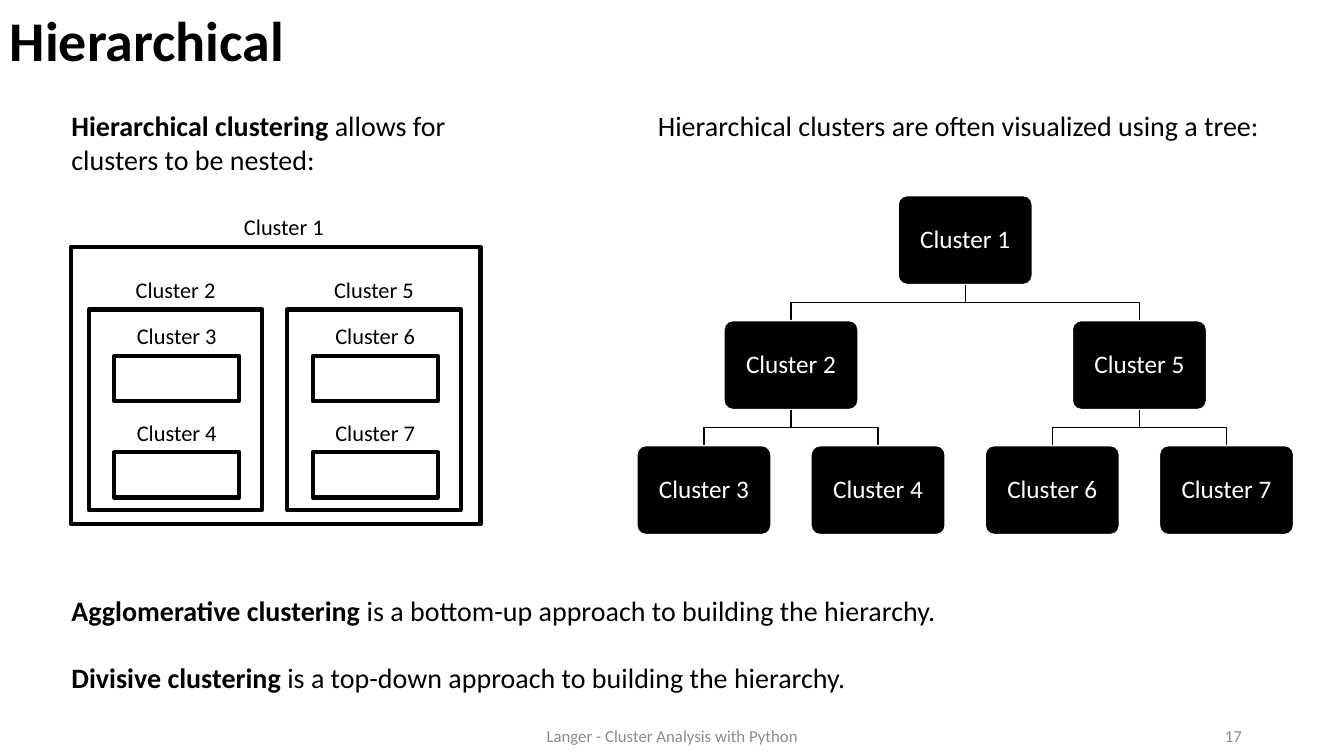
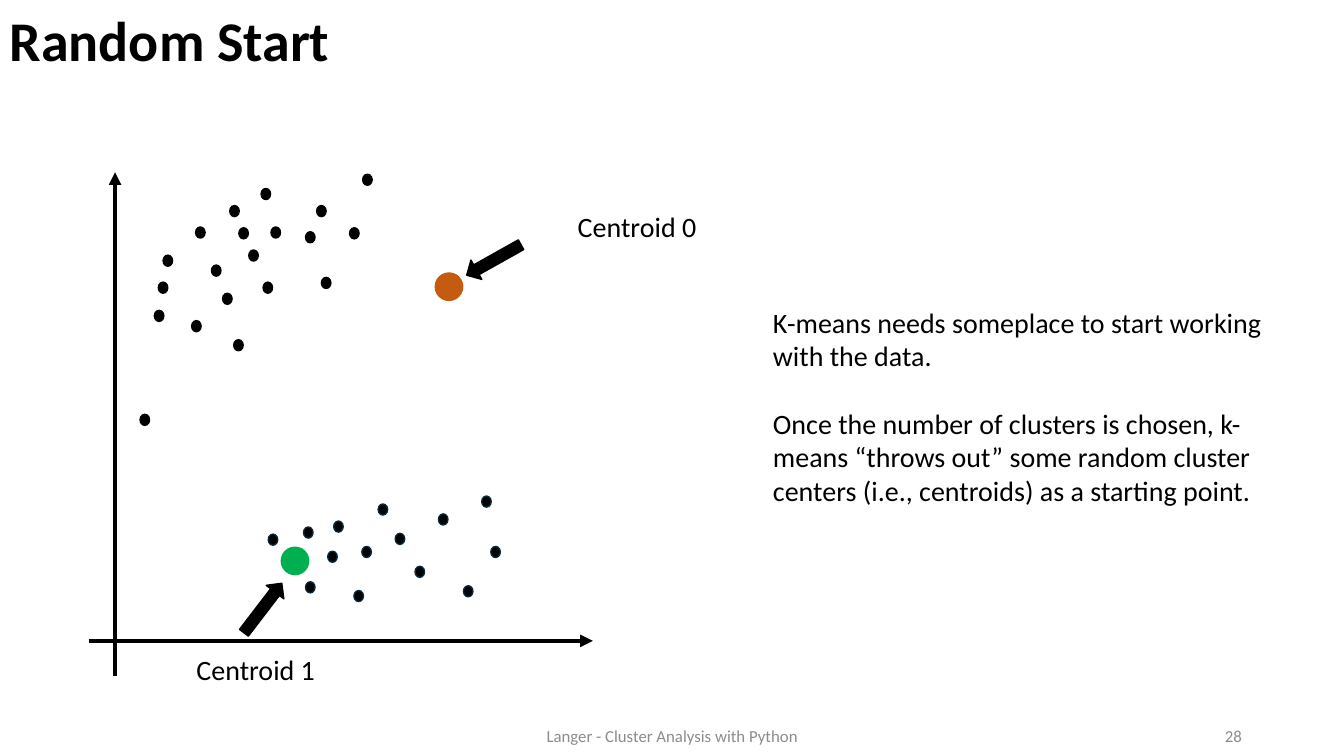
"""Build two cluster analysis slides: nested clusters and the k-means random start."""
from dataclasses import dataclass

from lxml.etree import SubElement
from pptx import Presentation
from pptx.dml.color import RGBColor
from pptx.enum.shapes import MSO_CONNECTOR, MSO_SHAPE
from pptx.enum.text import MSO_ANCHOR, PP_ALIGN
from pptx.oxml.ns import qn
from pptx.shapes.autoshape import Shape
from pptx.slide import Slide
from pptx.text.text import TextFrame
from pptx.util import Cm, Pt

COLORS = {
    "ink": "000000",
    "paper": "FFFFFF",
    "footer": "8C8C8C",
    "point_edge": "06283B",
    "orange": "C55A11",
    "green": "00B050",
}


@dataclass(frozen=True)
class TextStyle:
    size: int
    color: str = "ink"
    align: PP_ALIGN = PP_ALIGN.LEFT
    anchor: MSO_ANCHOR = MSO_ANCHOR.TOP
    bold: bool = False
    line_spacing: float = 1.0


MIDDLE = MSO_ANCHOR.MIDDLE
TITLE = TextStyle(40, anchor=MIDDLE, bold=True, line_spacing=0.9)
BODY = TextStyle(20)
CENTROID_LABEL = TextStyle(20, align=PP_ALIGN.CENTER)
NEST_LABEL = TextStyle(16, align=PP_ALIGN.CENTER)
NODE_LABEL = TextStyle(18, "paper", PP_ALIGN.CENTER, MIDDLE, line_spacing=0.9)
FOOTER = TextStyle(12, "footer", PP_ALIGN.CENTER, MIDDLE)
PAGE_NUMBER = TextStyle(12, "footer", PP_ALIGN.RIGHT, MIDDLE)
PARAGRAPH_GAP = Pt(24)


@dataclass(frozen=True)
class Box:
    left: float
    top: float
    width: float
    height: float

    def lengths(self) -> tuple[Cm, Cm, Cm, Cm]:
        return Cm(self.left), Cm(self.top), Cm(self.width), Cm(self.height)


@dataclass(frozen=True)
class Passage:
    text: str
    lead: str = ""


@dataclass(frozen=True)
class NestedCluster:
    number: int
    box: Box
    label_shift: float = 0


@dataclass(frozen=True)
class TreeNode:
    number: int
    column: float
    level: int
    parent: int = 0


@dataclass(frozen=True)
class Centroid:
    name: str
    label: Box
    marker: Box
    color: str
    arrow: Box
    rotation: float


GROUP_LEFTS = (2.24, 7.24)
LEAF_TOPS = (8.97, 11.4)
NEST = [NestedCluster(1, Box(1.8, 6.22, 10.31, 6.99), 0.2)]
for group, group_left in enumerate(GROUP_LEFTS):
    first = 2 + 3 * group
    NEST.append(NestedCluster(first, Box(group_left, 7.8, 4.37, 5.05)))
    NEST += [
        NestedCluster(first + 1 + row, Box(group_left + 0.64, leaf_top, 3.15, 1.14))
        for row, leaf_top in enumerate(LEAF_TOPS)
    ]

TREE = (
    TreeNode(1, 1.5, 0),
    TreeNode(2, 0.5, 1, 1),
    TreeNode(3, 0, 2, 2),
    TreeNode(4, 1, 2, 2),
    TreeNode(5, 2.5, 1, 1),
    TreeNode(6, 2, 2, 5),
    TreeNode(7, 3, 2, 5),
)

UPPER_POINTS = (
    (6.83, 5.72), (5.61, 7.39), (7.7, 5.84), (9.14, 4.39), (6.63, 7.11),
    (4.83, 8.08), (4.11, 6.43), (6.27, 6.3), (7.98, 5.18), (4.93, 5.72),
    (6.58, 4.75), (6.02, 5.74), (5.79, 5.18), (3.89, 7.82), (5.89, 8.56),
    (3.53, 10.44), (8.81, 5.74), (3.99, 7.11), (5.33, 6.68), (8.1, 6.99),
)
LOWER_POINTS = (
    (8.26, 13.89), (6.76, 13.46), (7.65, 13.28), (11.05, 12.95), (9.96, 13.44),
    (8.41, 13.13), (7.7, 14.66), (9.53, 12.7), (9.12, 13.77), (8.92, 14.88),
    (12.14, 12.5), (11.68, 14.76), (10.46, 14.27), (12.37, 13.77),
)
AXES = ((2.9, 17.04, 2.9, 4.34), (2.24, 16.15, 14.94, 16.15))
CENTROIDS = (
    Centroid("Centroid 0", Box(12.45, 5.16, 7.21, 1.12), Box(10.97, 6.88, 0.69, 0.69),
             "orange", Box(11.66, 6.27, 1.57, 0.56), 150.7),
    Centroid("Centroid 1", Box(2.84, 16.33, 7.21, 1.12), Box(7.09, 13.79, 0.69, 0.69),
             "green", Box(5.84, 15.04, 1.57, 0.56), 307.4),
)


def rgb(color: str) -> RGBColor:
    return RGBColor.from_string(COLORS[color])


def write(frame: TextFrame, passages: tuple[Passage, ...], style: TextStyle) -> None:
    frame.word_wrap = True
    frame.vertical_anchor = style.anchor
    for index, passage in enumerate(passages):
        paragraph = frame.paragraphs[0] if index == 0 else frame.add_paragraph()
        formats = {"alignment": style.align, "line_spacing": style.line_spacing}
        if index:
            formats["space_before"] = PARAGRAPH_GAP
        for key, value in formats.items():
            setattr(paragraph, key, value)
        for words, bold in ((passage.lead, True), (passage.text, style.bold)):
            if words:
                run = paragraph.add_run()
                run.text = words
                font_formats = {"name": "Calibri", "size": Pt(style.size), "bold": bold}
                for key, value in font_formats.items():
                    setattr(run.font, key, value)
                run.font.color.rgb = rgb(style.color)


def add_text(slide: Slide, box: Box, style: TextStyle, *passages: Passage) -> None:
    write(slide.shapes.add_textbox(*box.lengths()).text_frame, passages, style)


def paint(shape: Shape, fill: str | None, line: str, width: float = 1) -> None:
    shape.shadow.inherit = False
    if fill:
        shape.fill.solid()
        shape.fill.fore_color.rgb = rgb(fill)
    else:
        shape.fill.background()
    shape.line.color.rgb = rgb(line)
    shape.line.width = Pt(width)


def add_shape(slide: Slide, kind: MSO_SHAPE, box: Box, fill: str | None,
              line: str, width: float = 1) -> Shape:
    shape = slide.shapes.add_shape(kind, *box.lengths())
    paint(shape, fill, line, width)
    return shape


def add_slide(deck: Presentation, title: str, number: int) -> Slide:
    slide = deck.slides.add_slide(deck.slide_layouts[6])
    add_text(slide, Box(0, 0.05, 27.03, 2.11), TITLE, Passage(title))
    add_text(slide, Box(11.23, 18.03, 11.43, 1.02), FOOTER,
             Passage("Langer - Cluster Analysis with Python"))
    add_text(slide, Box(23.93, 18.03, 7.62, 1.02), PAGE_NUMBER, Passage(str(number)))
    return slide


def add_nested_cluster(slide: Slide, cluster: NestedCluster) -> None:
    box = cluster.box
    add_shape(slide, MSO_SHAPE.RECTANGLE, box, None, "ink", 3)
    label = Box(box.left + cluster.label_shift, box.top - 0.97, box.width, 0.94)
    add_text(slide, label, NEST_LABEL, Passage(f"Cluster {cluster.number}"))


def node_box(node: TreeNode) -> Box:
    return Box(16.05 + 4.39 * node.column, 4.93 + 3.15 * node.level, 3.38, 2.24)


def add_branch(slide: Slide, parent: Box, child: Box) -> None:
    start_x, end_x = (Cm(box.left + box.width / 2) for box in (parent, child))
    start_y, end_y = Cm(parent.top + parent.height), Cm(child.top)
    bend_y = (start_y + end_y) // 2
    outline = slide.shapes.build_freeform(start_x, start_y)
    outline.add_line_segments(
        [(start_x, bend_y), (end_x, bend_y), (end_x, end_y)], close=False)
    paint(outline.convert_to_shape(), None, "ink")


def add_tree(slide: Slide) -> None:
    boxes = {node.number: node_box(node) for node in TREE}
    for node in TREE:
        if node.parent:
            add_branch(slide, boxes[node.parent], boxes[node.number])
        block = add_shape(slide, MSO_SHAPE.ROUNDED_RECTANGLE, boxes[node.number],
                          "ink", "paper")
        block.adjustments[0] = 0.1
        write(block.text_frame, (Passage(f"Cluster {node.number}"),), NODE_LABEL)


def add_axis(slide: Slide, ends: tuple[float, ...]) -> None:
    axis = slide.shapes.add_connector(MSO_CONNECTOR.STRAIGHT, *map(Cm, ends))
    axis.line.color.rgb = rgb("ink")
    axis.line.width = Pt(3)
    properties = axis._element.spPr
    SubElement(properties.find(qn("a:ln")), qn("a:tailEnd"), type="triangle")
    SubElement(properties, qn("a:effectLst"))


def add_centroid(slide: Slide, centroid: Centroid) -> None:
    arrow = add_shape(slide, MSO_SHAPE.RIGHT_ARROW, centroid.arrow, "ink", "ink")
    arrow.rotation = centroid.rotation
    add_text(slide, centroid.label, CENTROID_LABEL, Passage(centroid.name))
    add_shape(slide, MSO_SHAPE.OVAL, centroid.marker, centroid.color, centroid.color)


def build_hierarchical(deck: Presentation) -> None:
    slide = add_slide(deck, "Hierarchical", 17)
    add_text(slide, Box(1.55, 2.62, 11.43, 1.96), BODY,
             Passage(" allows for clusters to be nested:", "Hierarchical clustering"))
    for cluster in NEST:
        add_nested_cluster(slide, cluster)
    add_text(slide, Box(16.33, 2.62, 15.9, 1.12), BODY,
             Passage("Hierarchical clusters are often visualized using a tree:"))
    add_tree(slide)
    add_text(slide, Box(1.55, 14.83, 32, 2.82), BODY,
             Passage(" is a bottom-up approach to building the hierarchy.",
                     "Agglomerative clustering"),
             Passage(" is a top-down approach to building the hierarchy.",
                     "Divisive clustering"))


def build_random_start(deck: Presentation) -> None:
    slide = add_slide(deck, "Random Start", 28)
    for ends in AXES:
        add_axis(slide, ends)
    for points, edge in ((UPPER_POINTS, "ink"), (LOWER_POINTS, "point_edge")):
        for left, top in points:
            add_shape(slide, MSO_SHAPE.OVAL, Box(left, top, 0.24, 0.28), "ink", edge)
    for centroid in CENTROIDS:
        add_centroid(slide, centroid)
    add_text(slide, Box(19.23, 7.57, 13.72, 5.38), BODY,
             Passage("K-means needs someplace to start working with the data."),
             Passage("Once the number of clusters is chosen, k-means “throws out” some "
                     "random cluster centers (i.e., centroids) as a starting point."))


def main() -> None:
    deck = Presentation()
    deck.slide_width, deck.slide_height = Cm(33.87), Cm(19.05)
    build_hierarchical(deck)
    build_random_start(deck)
    deck.save("out.pptx")


if __name__ == "__main__":
    main()
